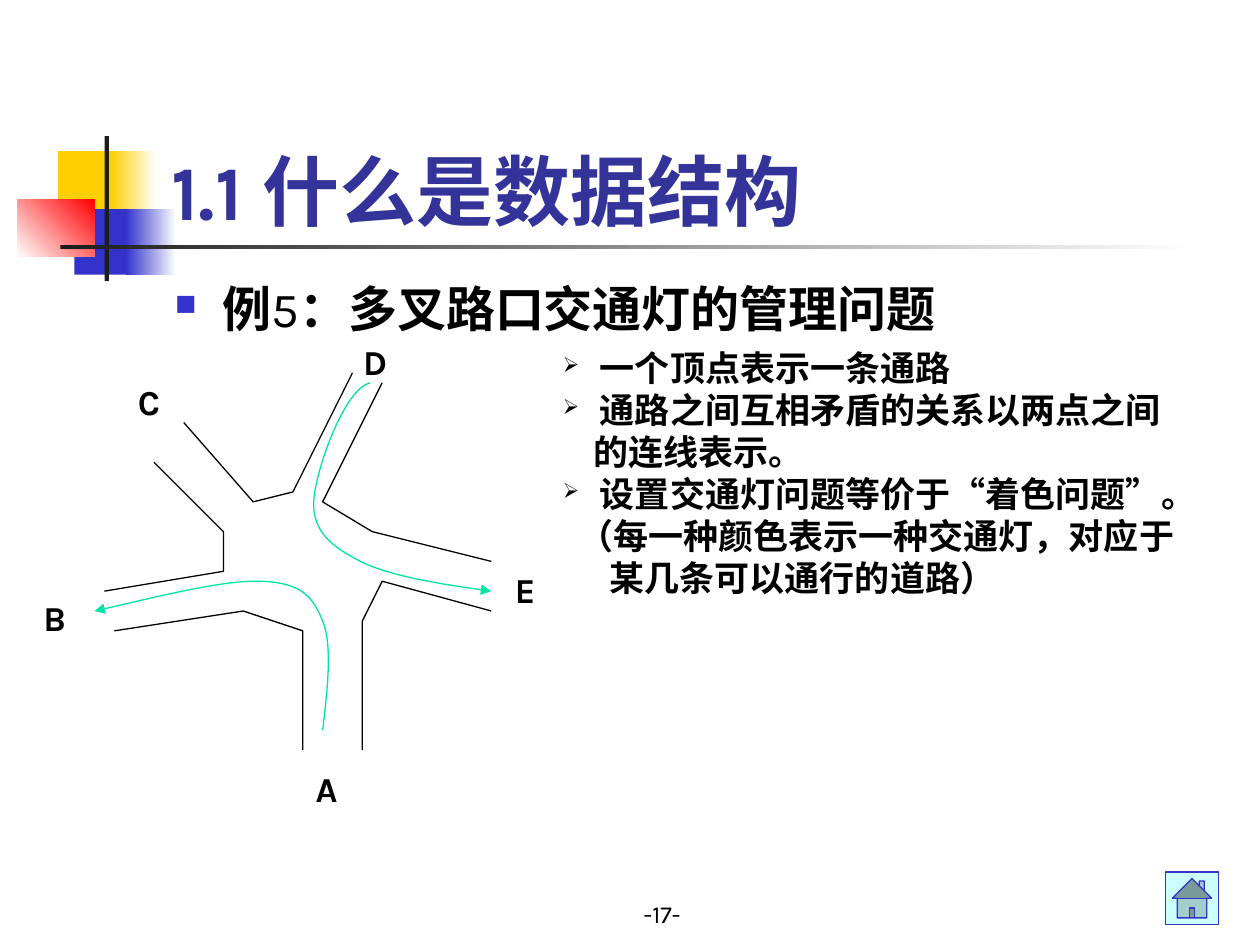
from pptx import Presentation, util as u
from pptx.dml.color import RGBColor
from pptx.enum import shapes as sh, text as tx
from pptx.oxml.ns import qn
from lxml import etree

WIDE, HIGH = u.Inches(10), u.Inches(7.5)
STEP = u.Mm(2)                                # cell of the road map
LEFT, TOP = u.Inches(0.75), u.Inches(2.96)    # corner of the road map
SANS, SERIF = "Karla", "Times New Roman"
HUE = {"gold": "FFCF01", "blue": "3333CC", "red": "FF0000", "ink": "1C1C1C",
       "white": "FFFFFF", "black": "000000", "title": "333399",
       "sky": "CCFFFF", "green": "00E4A8"}

# Left, top, width, height in percent of the slide, then colours
DECOR = [
    ((4.6, 16, 4.8, 6.93), ["gold"]),
    ((8.8, 16, 3.6, 6.93), ["gold", "white"]),
    ((5.9, 22.13, 4.6, 6.93), ["blue"]),
    ((10, 22.13, 4, 6.93), ["blue", "white"]),
    ((1.4, 21.07, 6.1, 6.13), ["white", "red"]),
    ((8.3, 14.4, 0.35, 15.33), ["ink"]),
    ((4.8, 25.95, 90, 0.45), ["ink", "white"]),
]

# Column and row of each corner on the road map
KERBS = [
    [(9, 5), (16, 13), (20, 12), (26, 0)],
    [(6, 9), (13, 16), (13, 20), (1, 22)],
    [(2, 26), (15, 24), (21, 26), (21, 38)],
    [(27, 38), (27, 25), (29, 21), (40, 24)],
    [(40, 19), (28, 16), (23, 13), (29, 1)],
]
# Start point, then two handles and an end for each Bezier piece
ROUTES = [
    [(23, 36), (23.5, 31.75), (24, 27.5), (23, 25), (22, 22.5), (20.8, 21.2),
     (17, 21), (13.1, 20.8), (6.6, 22.5), (0, 24)],
    [(27.8, 1), (25.2, 1.5), (22.2, 10), (22.1, 13), (22, 16), (23.9, 17.5),
     (26.8, 19), (29.8, 20.5), (34.9, 21.3), (40, 22)],
]
TOWNS = {"B": (-4, 24.6), "A": (23.4, 41.8), "E": (43.4, 21.8),
         "D": (28.3, -1.2), "C": (5.5, 2.8)}

# Bullet or not, indent in inches, runs
NOTES = [
    (True, 0.23, [(" 一个顶点表示一条通路", SANS)]),
    (True, 0.23, [(" 通路之间互相矛盾的关系以两点之间", SANS)]),
    (False, 0.24, [("的连线表示。", SANS)]),
    (True, 0.23, [(" 设置交通灯问题等价于", SANS), ("“", SERIF),
                  ("着色问题", SANS), ("”", SERIF), ("。", SANS)]),
    (False, 0.12, [("（每一种颜色表示一种交通灯，对应于", SANS)]),
    (False, 0.37, [("某几条可以通行的道路）", SANS)]),
]


def rgb(name):
    return RGBColor.from_string(HUE[name])


def area(left, top, wide, high):
    """Turn percents of the slide into lengths."""
    return [round(part * full / 100) for part, full in
            zip((left, top, wide, high), (WIDE, HIGH, WIDE, HIGH))]


def spot(col, row):
    return LEFT + round(col * STEP), TOP + round(row * STEP)


def add_block(slide, box, hues):
    block = slide.shapes.add_shape(sh.MSO_SHAPE.RECTANGLE, *area(*box))
    block.shadow.inherit = False
    block.line.fill.background()
    if len(hues) == 1:
        block.fill.solid()
        block.fill.fore_color.rgb = rgb(hues[0])
        return
    block.fill.gradient()
    block.fill.gradient_angle = 45 if "red" in hues else 0
    for stop, hue in zip(block.fill.gradient_stops, hues):
        stop.color.rgb = rgb(hue)


def add_path(slide, cells, hue):
    points = [spot(*cell) for cell in cells]
    pen = slide.shapes.build_freeform(*points[0])
    pen.add_line_segments(points[1:], close=False)
    path = pen.convert_to_shape()
    path.shadow.inherit = False
    path.fill.background()
    path.line.color.rgb = rgb(hue)
    path.line.width = u.Pt(0.75)
    return path


def bend(knots, parts=16):
    """Sample a chain of cubic Bezier pieces."""
    cells = [knots[0]]
    for i in range(0, len(knots) - 1, 3):
        for k in range(1, parts + 1):
            t = k / parts
            share = ((1 - t) ** 3, 3 * t * (1 - t) ** 2,
                     3 * t * t * (1 - t), t ** 3)
            cells.append(tuple(sum(s * p[axis] for s, p in
                                   zip(share, knots[i:i + 4]))
                               for axis in (0, 1)))
    return cells


def add_route(slide, knots):
    route = add_path(slide, bend(knots), "green")
    line = route.line._get_or_add_ln()
    etree.SubElement(line, qn("a:tailEnd"), type="triangle")


def add_box(slide, box, anchor, wrap=True):
    frame = slide.shapes.add_textbox(*box).text_frame
    frame.word_wrap = wrap
    frame.vertical_anchor = anchor
    return frame


def add_run(para, words, size, font=SANS, bold=True, hue="black"):
    run = para.add_run()
    run.text = words
    run.font.size = u.Pt(size)
    run.font.name = font
    run.font.bold = bold
    run.font.color.rgb = rgb(hue)


def indent(para, left, mark=None, hue="black"):
    """Set the left margin; a mark hangs in it as a bullet."""
    props = para._p.get_or_add_pPr()
    props.set("marL", str(u.Inches(left)))
    props.set("indent", str(-u.Inches(left) if mark else 0))
    if mark:
        tint = etree.SubElement(props, qn("a:buClr"))
        etree.SubElement(tint, qn("a:srgbClr"), val=HUE[hue])
        etree.SubElement(props, qn("a:buSzPct"), val="60000")
        etree.SubElement(props, qn("a:buChar"), char=mark)


def add_label(slide, name, cell):
    wide, high = 5 * STEP, round(5.6 * STEP)
    x, y = spot(*cell)
    box = x - wide // 2, y - high // 2, wide, high
    para = add_box(slide, box, tx.MSO_ANCHOR.BOTTOM, False).paragraphs[0]
    para.alignment = tx.PP_ALIGN.CENTER
    add_run(para, name, 20)


def add_heads(slide):
    para = add_box(slide, area(36.7, 92.27, 31.7, 6.67),
                   tx.MSO_ANCHOR.BOTTOM).paragraphs[0]
    para.alignment = tx.PP_ALIGN.CENTER
    add_run(para, "-17-", 14, bold=False)

    para = add_box(slide, area(12.6, 8.93, 85.2, 16.67),
                   tx.MSO_ANCHOR.BOTTOM).paragraphs[0]
    add_run(para, "1.1 什么是数据结构", 44, hue="title")

    para = add_box(slide, area(12.9, 29.47, 85, 8),
                   tx.MSO_ANCHOR.TOP).paragraphs[0]
    para.line_spacing = 0.9
    para.space_before = u.Pt(7)
    indent(para, 0.38, "■", "blue")
    add_run(para, "例", 28)
    add_run(para, "5", 28, bold=False)
    add_run(para, "：", 28)
    add_run(para, "多叉路口交通灯的管理问题", 28, SERIF)


def add_notes(slide):
    frame = add_box(slide, area(43.7, 36, 52, 43.2), tx.MSO_ANCHOR.TOP)
    for i, (mark, left, runs) in enumerate(NOTES):
        para = frame.add_paragraph() if i else frame.paragraphs[0]
        indent(para, left, "➢" if mark else None)
        for words, font in runs:
            add_run(para, words, 20, font)


def add_home(slide):
    home = slide.shapes.add_shape(sh.MSO_SHAPE.ACTION_BUTTON_HOME,
                                  *area(92.5, 92.27, 4.2, 5.56))
    home.shadow.inherit = False
    home.fill.solid()
    home.fill.fore_color.rgb = rgb("sky")
    home.line.color.rgb = rgb("blue")
    home.line.width = u.Pt(0.75)


def main():
    deck = Presentation()
    deck.slide_width, deck.slide_height = WIDE, HIGH
    slide = deck.slides.add_slide(deck.slide_layouts[6])
    for box, hues in DECOR:
        add_block(slide, box, hues)
    add_heads(slide)
    add_home(slide)
    for cells in KERBS:
        add_path(slide, cells, "black")
    for name, cell in TOWNS.items():
        add_label(slide, name, cell)
    for knots in ROUTES:
        add_route(slide, knots)
    add_notes(slide)
    deck.save("out.pptx")


if __name__ == "__main__":
    main()
